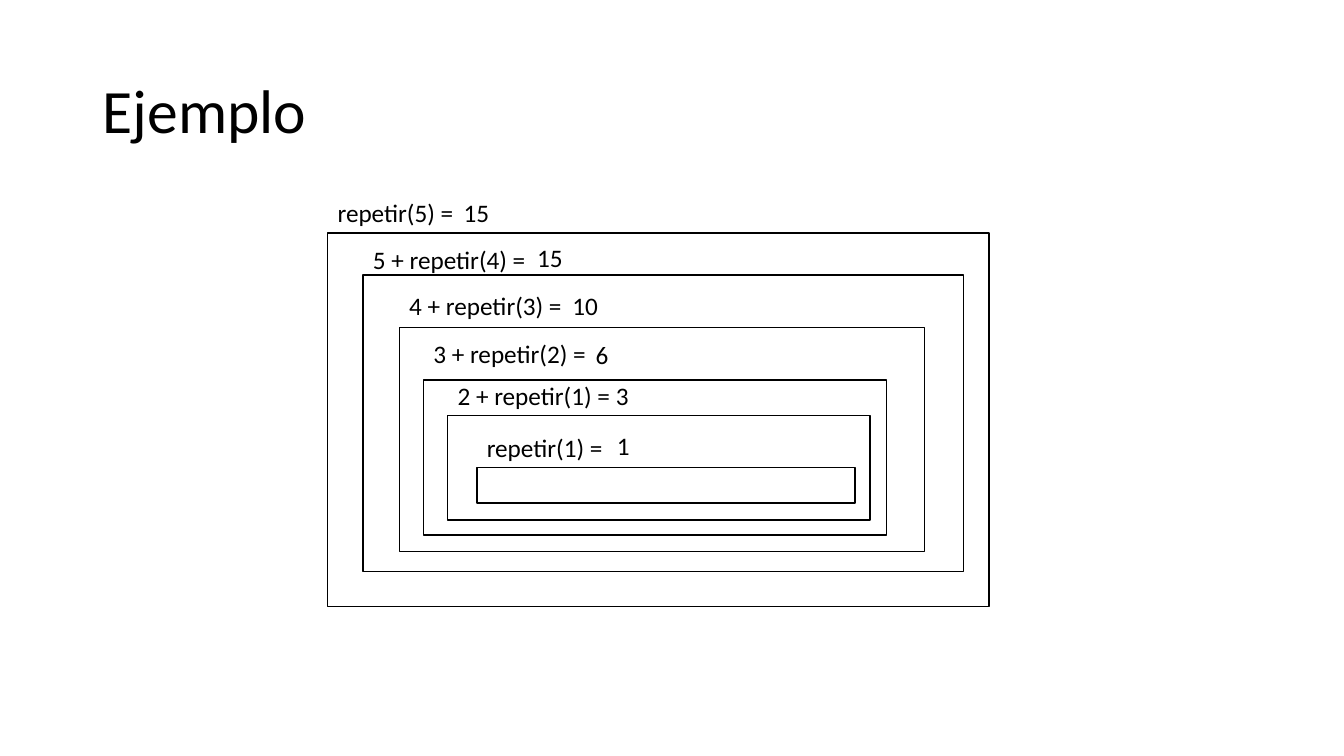
from pptx import Presentation
from pptx.dml.color import RGBColor
from pptx.enum.shapes import MSO_SHAPE
from pptx.enum.text import MSO_ANCHOR, MSO_AUTO_SIZE
from pptx.util import Pt

PX = 9144  # EMU per px, 100 px to the inch
COLORS = {"ink": "000000", "paper": "FFFFFF"}
FONT = "Calibri"

# Frame box, call, label width and rise, value, value offset and rise
CALLS = [
    ((325, 231, 656, 371), "repetir(5) =", 137, 40, "15", 125, 40),
    ((360, 273, 596, 294), "5 + repetir(4) =", 201, 36, "15", 163, 38),
    ((396, 325, 521, 222), "4 + repetir(3) =", 199, 42, "10", 162, 42),
    ((420, 377, 459, 154), "3 + repetir(2) =", 174, 46, "6", 161, 45),
    ((444, 412, 419, 104), "2 + repetir(1) =", 174, 40, "3", 157, 40),
    ((473, 464, 375, 35), "repetir(1) =", 137, 40, "1", 129, 42),
]


def color(name):
    return RGBColor.from_string(COLORS[name])


def emu(*lengths):
    return [n * PX for n in lengths]


def format_text(tf, size):
    for p in tf.paragraphs:
        for r in p.runs:
            r.font.size = Pt(size)
            r.font.name = FONT
            r.font.color.rgb = color("ink")


def add_title(slide, box):
    sp = slide.shapes.title
    sp.left, sp.top, sp.width, sp.height = emu(*box)
    tf = sp.text_frame
    tf.text = "Ejemplo"
    tf.vertical_anchor = MSO_ANCHOR.MIDDLE
    p = tf.paragraphs[0]
    p.line_spacing = 0.9
    # The default title is centred
    p.alignment = 1
    format_text(tf, 44)


def add_text(slide, text, left, top, width):
    sp = slide.shapes.add_textbox(*emu(left, top, width, 40))
    tf = sp.text_frame
    tf.word_wrap = False
    tf.auto_size = MSO_AUTO_SIZE.SHAPE_TO_FIT_TEXT
    tf.text = text
    format_text(tf, 18)


def add_call(slide, box, label, label_width, label_rise, value, value_dx, value_rise):
    left, top = box[:2]
    # Frame of the call
    sp = slide.shapes.add_shape(MSO_SHAPE.RECTANGLE, *emu(*box))
    sp.shadow.inherit = False
    sp.fill.solid()
    sp.fill.fore_color.rgb = color("paper")
    sp.line.color.rgb = color("ink")
    sp.line.width = Pt(1)
    # Call and the value it returns
    add_text(slide, label, left, top - label_rise, label_width)
    add_text(slide, value, left + value_dx, top - value_rise, 33 if len(value) == 1 else 46)


def main():
    prs = Presentation()
    prs.slide_width, prs.slide_height = emu(1333, 750)
    slide = prs.slides.add_slide(prs.slide_layouts[5])
    add_title(slide, (92, 40, 1150, 145))
    for call in CALLS:
        add_call(slide, *call)
    prs.save("out.pptx")


if __name__ == "__main__":
    main()
